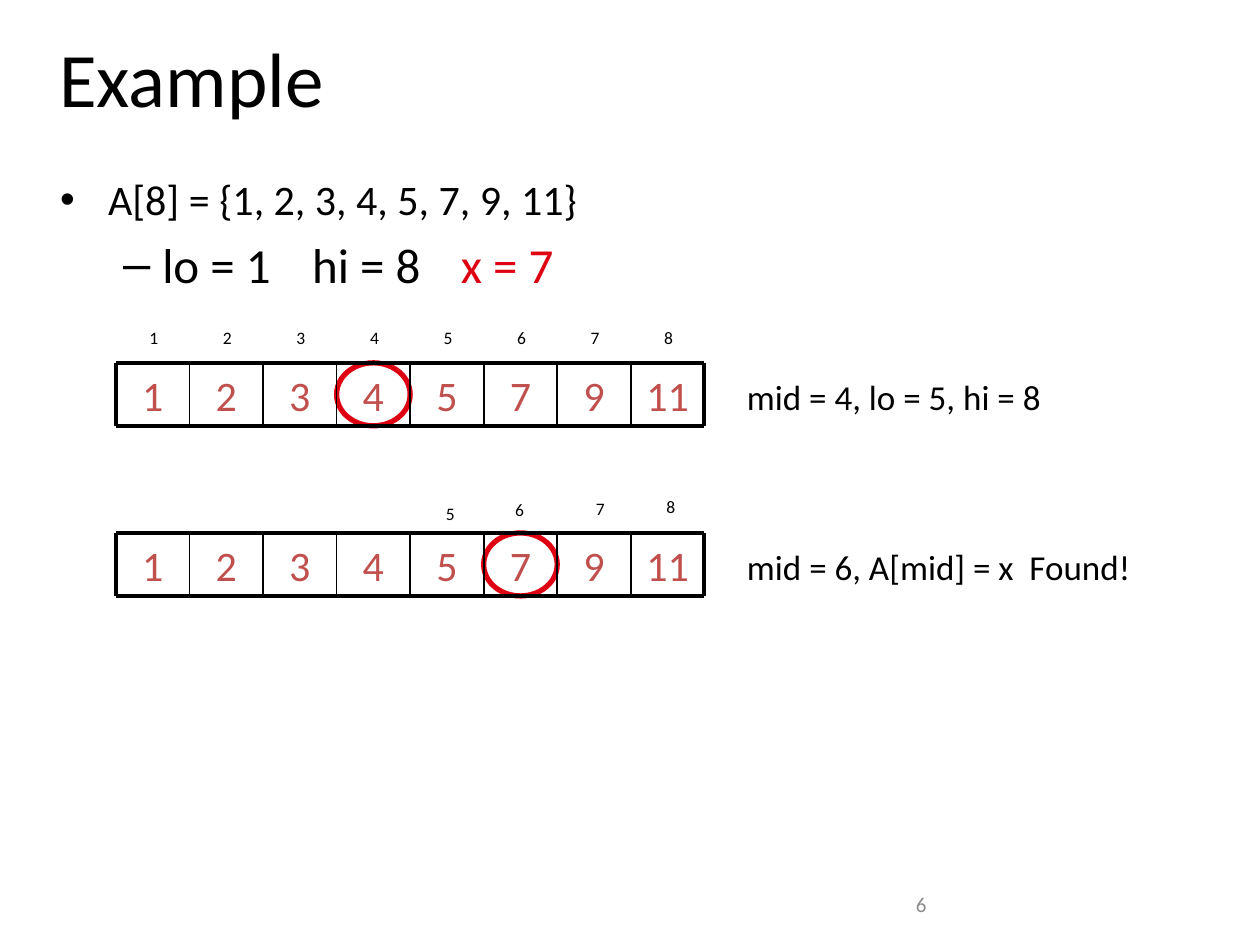
from dataclasses import dataclass

from pptx import Presentation
from pptx.dml.color import RGBColor
from pptx.enum.shapes import MSO_CONNECTOR, MSO_SHAPE
from pptx.enum.text import MSO_ANCHOR, PP_ALIGN
from pptx.oxml.ns import qn
from pptx.util import Inches, Pt
from lxml.etree import SubElement


@dataclass(frozen=True)
class Theme:
    font: str = "Calibri"
    ink: RGBColor = RGBColor(0x00, 0x00, 0x00)
    accent: RGBColor = RGBColor(0xDD, 0x01, 0x11)
    value: RGBColor = RGBColor(0xC0, 0x50, 0x4D)
    muted: RGBColor = RGBColor(0x8C, 0x8C, 0x8C)
    title_size: int = 44
    sub_bullet_size: int = 28
    body_size: int = 24
    note_size: int = 20
    footer_size: int = 12
    index_size: int = 10
    circle_line: float = 3
    outer_line: float = 2.25
    inner_line: float = 1


THEME = Theme()

TITLE = "Example"
PAGE_NUMBER = "6"
VALUES = [1, 2, 3, 4, 5, 7, 9, 11]
# Bullets: size, left margin, hanging indent, mark, tab stops, runs
BULLETS = [
    (THEME.body_size, 0.38, 0.38, "•", [],
     [("A[8] = {1, 2, 3, 4, 5, 7, 9, 11}", THEME.ink)]),
    (THEME.sub_bullet_size, 0.81, 0.31, "–", [2, 3.18],
     [("lo = 1\thi = 8\t", THEME.ink), ("x = 7", THEME.accent)]),
]

ARRAY_LEFT, ARRAY_WIDTH, ARRAY_HEIGHT = 0.92, 4.67, 0.5
CELL_WIDTH = ARRAY_WIDTH / len(VALUES)
NOTE_LEFT = 5.83
INDEX_WIDTH, INDEX_HEIGHT = 0.25, 0.27


def index_left(index):
    return ARRAY_LEFT + (index - 0.5) * CELL_WIDTH - INDEX_WIDTH / 2


# Search steps; index labels are (index, left, top)
STEPS = [
    dict(top=2.88, mid=4, note="mid = 4, lo = 5, hi = 8", note_box=(2.93, 3, 0.43),
         labels=[(index, index_left(index), 2.55) for index in range(1, 9)]),
    dict(top=4.23, mid=6, note="mid = 6, A[mid] = x  Found!", note_box=(4.28, 3.42, 0.44),
         labels=[(5, 3.44, 3.94), (6, 3.99, 3.91), (7, 4.63, 3.9), (8, 5.19, 3.89)]),
]


def add_run(paragraph, text, size, color):
    run = paragraph.add_run()
    run.text = text
    run.font.name = THEME.font
    run.font.size = Pt(size)
    run.font.color.rgb = color


def add_text(slide, text, box, size, color=THEME.ink,
             anchor=MSO_ANCHOR.TOP, alignment=PP_ALIGN.LEFT):
    shape = slide.shapes.add_textbox(*map(Inches, box))
    frame = shape.text_frame
    frame.word_wrap = True
    frame.vertical_anchor = anchor
    paragraph = frame.paragraphs[0]
    paragraph.alignment = alignment
    add_run(paragraph, text, size, color)


def add_line(slide, start, end, width):
    line = slide.shapes.add_connector(
        MSO_CONNECTOR.STRAIGHT, *map(Inches, (*start, *end)))
    line.line.color.rgb = THEME.ink
    line.line.width = Pt(width)
    SubElement(line._element.spPr, qn("a:effectLst"))


def add_title(slide):
    title = slide.shapes.title
    title.left, title.top = Inches(0.37), Inches(0.11)
    title.width, title.height = Inches(9), Inches(0.99)
    frame = title.text_frame
    frame.vertical_anchor = MSO_ANCHOR.MIDDLE
    paragraph = frame.paragraphs[0]
    paragraph.alignment = PP_ALIGN.LEFT
    add_run(paragraph, TITLE, THEME.title_size, THEME.ink)


def add_bullets(slide):
    box = slide.shapes.add_textbox(*map(Inches, (0.38, 1.33, 9.03, 1.51)))
    frame = box.text_frame
    frame.word_wrap = True
    for level, (size, margin, hanging, mark, tabs, runs) in enumerate(BULLETS):
        paragraph = frame.add_paragraph() if level else frame.paragraphs[0]
        paragraph.level = level
        if level:
            paragraph.space_before = Pt(0.2 * size)
        properties = paragraph._p.get_or_add_pPr()
        properties.set("marL", str(Inches(margin)))
        properties.set("indent", str(-Inches(hanging)))
        SubElement(properties, qn("a:buFont"), typeface="Arial")
        SubElement(properties, qn("a:buChar"), char=mark)
        if tabs:
            tab_list = SubElement(properties, qn("a:tabLst"))
            for stop in tabs:
                SubElement(tab_list, qn("a:tab"), pos=str(Inches(stop)), algn="l")
        for text, color in runs:
            add_run(paragraph, text, size, color)


def add_array(slide, top, mid):
    """Draw the cells and rules of the array, with the middle cell circled."""
    edges = [ARRAY_LEFT + column * CELL_WIDTH for column in range(len(VALUES) + 1)]
    bottom = top + ARRAY_HEIGHT

    circle = slide.shapes.add_shape(
        MSO_SHAPE.OVAL, *map(Inches, (edges[mid - 1], top, CELL_WIDTH, ARRAY_HEIGHT)))
    circle.shadow.inherit = False
    circle.fill.background()
    circle.line.color.rgb = THEME.accent
    circle.line.width = Pt(THEME.circle_line)

    for left, value in zip(edges, VALUES):
        add_text(slide, str(value), (left, top, CELL_WIDTH, ARRAY_HEIGHT),
                 THEME.body_size, THEME.value, MSO_ANCHOR.MIDDLE, PP_ALIGN.CENTER)
    for y in (top, bottom):
        add_line(slide, (edges[0], y), (edges[-1], y), THEME.outer_line)
    for x in edges:
        width = THEME.outer_line if x in (edges[0], edges[-1]) else THEME.inner_line
        add_line(slide, (x, top), (x, bottom), width)


def main():
    presentation = Presentation()
    presentation.slide_width, presentation.slide_height = Inches(10), Inches(7.5)
    slide = presentation.slides.add_slide(presentation.slide_layouts[5])
    add_title(slide)
    add_bullets(slide)
    for step in STEPS:
        add_array(slide, step["top"], step["mid"])
        add_text(slide, step["note"], (NOTE_LEFT, *step["note_box"]), THEME.note_size)
        for index, left, top in step["labels"]:
            add_text(slide, str(index), (left, top, INDEX_WIDTH, INDEX_HEIGHT),
                     THEME.index_size)
    add_text(slide, PAGE_NUMBER, (7.17, 7, 2.33, 0.35), THEME.footer_size,
             THEME.muted, MSO_ANCHOR.MIDDLE)
    presentation.save("out.pptx")


if __name__ == "__main__":
    main()
